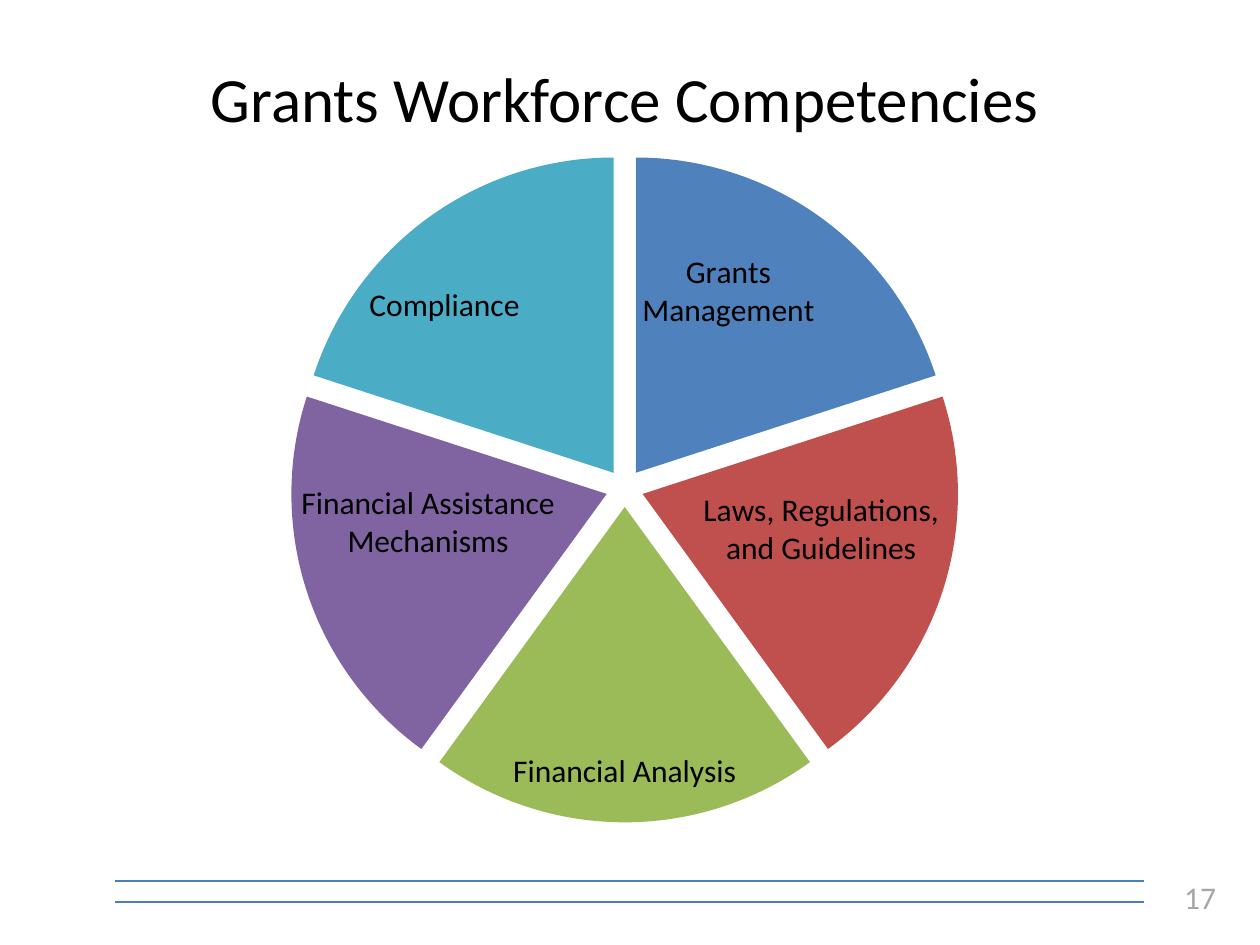
from lxml import etree
from pptx import Presentation
from pptx.chart.data import CategoryChartData
from pptx.dml.color import RGBColor
from pptx.enum.chart import XL_CHART_TYPE as ChartType, XL_LABEL_POSITION as LabelPosition
from pptx.enum.shapes import MSO_CONNECTOR as Connector
from pptx.enum.text import MSO_ANCHOR as Anchor, PP_ALIGN as Align
from pptx.oxml.ns import qn
from pptx.util import Pt

FONT = "Calibri"
COLORS = {"text": "000000", "rule": "4B7EBC", "number": "A6A6A6"}
COMPETENCIES = [
    ("Grants Management", "4F81BD", (0, -0.08)),
    ("Laws, Regulations, and Guidelines", "C0504D", (0.03, -0.02)),
    ("Financial Analysis", "9BBB59", (0, 0.16)),
    ("Financial Assistance Mechanisms", "8064A2", (-0.03, -0.03)),
    ("Compliance", "4BACC6", (-0.08, -0.06)),
]
STACKED_LABEL = "Grants Management"
SHARE = 20
EXPLOSION = 6


def rgb(value):
    """Return the colour for a hex string."""
    return RGBColor.from_string(value)


def format_font(font, size, color):
    """Set typeface, size and colour of a font."""
    font.name = FONT
    font.size = Pt(size)
    font.color.rgb = rgb(color)


def write_paragraph(paragraph, text, *, size, color, align):
    """Write one formatted run into a paragraph."""
    paragraph.alignment = align
    run = paragraph.add_run()
    run.text = text
    format_font(run.font, size, color)


def write_text(shape, text, *, anchor=Anchor.TOP, **style):
    """Write one formatted paragraph into a shape."""
    frame = shape.text_frame
    frame.word_wrap = True
    frame.vertical_anchor = anchor
    write_paragraph(frame.paragraphs[0], text, **style)


def place(shape, left, top, width, height):
    """Move and size a shape, in points."""
    shape.left, shape.top = Pt(left), Pt(top)
    shape.width, shape.height = Pt(width), Pt(height)


def add_rule(slide, top):
    """Draw a thin horizontal footer line."""
    rule = slide.shapes.add_connector(Connector.STRAIGHT, Pt(66), Pt(top), Pt(654), Pt(top))
    rule.line.color.rgb = rgb(COLORS["rule"])
    rule.line.width = Pt(0.75)
    etree.SubElement(rule._element.spPr, qn("a:effectLst"))


def make_layout(**values):
    """Build a manual chart layout element."""
    layout = etree.Element(qn("c:layout"))
    manual = etree.SubElement(layout, qn("c:manualLayout"))
    for name, value in values.items():
        etree.SubElement(manual, qn(f"c:{name}")).set("val", str(value))
    return layout


def stack_words(label, text):
    """Write each word of a label on its own line."""
    frame = label.text_frame
    for index, word in enumerate(text.split()):
        paragraph = frame.add_paragraph() if index else frame.paragraphs[0]
        write_paragraph(paragraph, word, size=18, color=COLORS["text"], align=Align.CENTER)


def format_slice(series, index, name, color, offset):
    """Colour one slice and shift its category label."""
    point = series.points[index]
    point.format.fill.solid()
    point.format.fill.fore_color.rgb = rgb(color)
    label = point.data_label
    if name == STACKED_LABEL:
        stack_words(label, name)
    else:
        format_font(label.font, 18, COLORS["text"])
    label.position = LabelPosition.CENTER
    element = series._element.find(qn("c:dLbls")).findall(qn("c:dLbl"))[index]
    element.find(qn("c:showVal")).set("val", "0")
    element.find(qn("c:showCatName")).set("val", "1")
    element.find(qn("c:idx")).addnext(make_layout(x=offset[0], y=offset[1]))


def add_pie(slide):
    """Add the exploded pie of competencies."""
    data = CategoryChartData()
    data.categories = [name for name, _, _ in COMPETENCIES]
    data.add_series("Series 1", [SHARE] * len(COMPETENCIES))
    frame = slide.shapes.add_chart(ChartType.PIE, Pt(84), Pt(88), Pt(546), Pt(382), data)
    chart = frame.chart
    chart.has_legend = False
    chart.has_title = False
    format_font(chart.font, 18, COLORS["text"])
    plot = chart.plots[0]
    plot.vary_by_categories = True
    series = plot.series[0]
    labels = series.data_labels
    labels.show_value = False
    labels.show_category_name = True
    for index, competency in enumerate(COMPETENCIES):
        format_slice(series, index, *competency)
    explosion = etree.Element(qn("c:explosion"))
    explosion.set("val", str(EXPLOSION))
    series._element.find(qn("c:dPt")).addprevious(explosion)
    area = chart._chartSpace.chart.plotArea
    for old in area.findall(qn("c:layout")):
        area.remove(old)
    area.insert(0, make_layout(layoutTarget="inner", xMode="edge", yMode="edge",
                               x=0.13, y=0, w=0.74, h=1))


def main():
    """Build the slide and save it."""
    presentation = Presentation()
    presentation.slide_width, presentation.slide_height = Pt(720), Pt(540)
    slide = presentation.slides.add_slide(presentation.slide_layouts[5])
    for top in (503.5, 515.5):
        add_rule(slide, top)
    number = slide.shapes.add_textbox(Pt(534), Pt(498), Pt(168), Pt(29))
    write_text(number, "17", size=18, color=COLORS["number"], align=Align.RIGHT)
    add_pie(slide)
    title = slide.shapes.title
    place(title, 84, 30, 546, 51)
    write_text(title, "Grants Workforce Competencies", size=36, color=COLORS["text"],
               align=Align.CENTER, anchor=Anchor.MIDDLE)
    presentation.save("out.pptx")


if __name__ == "__main__":
    main()
